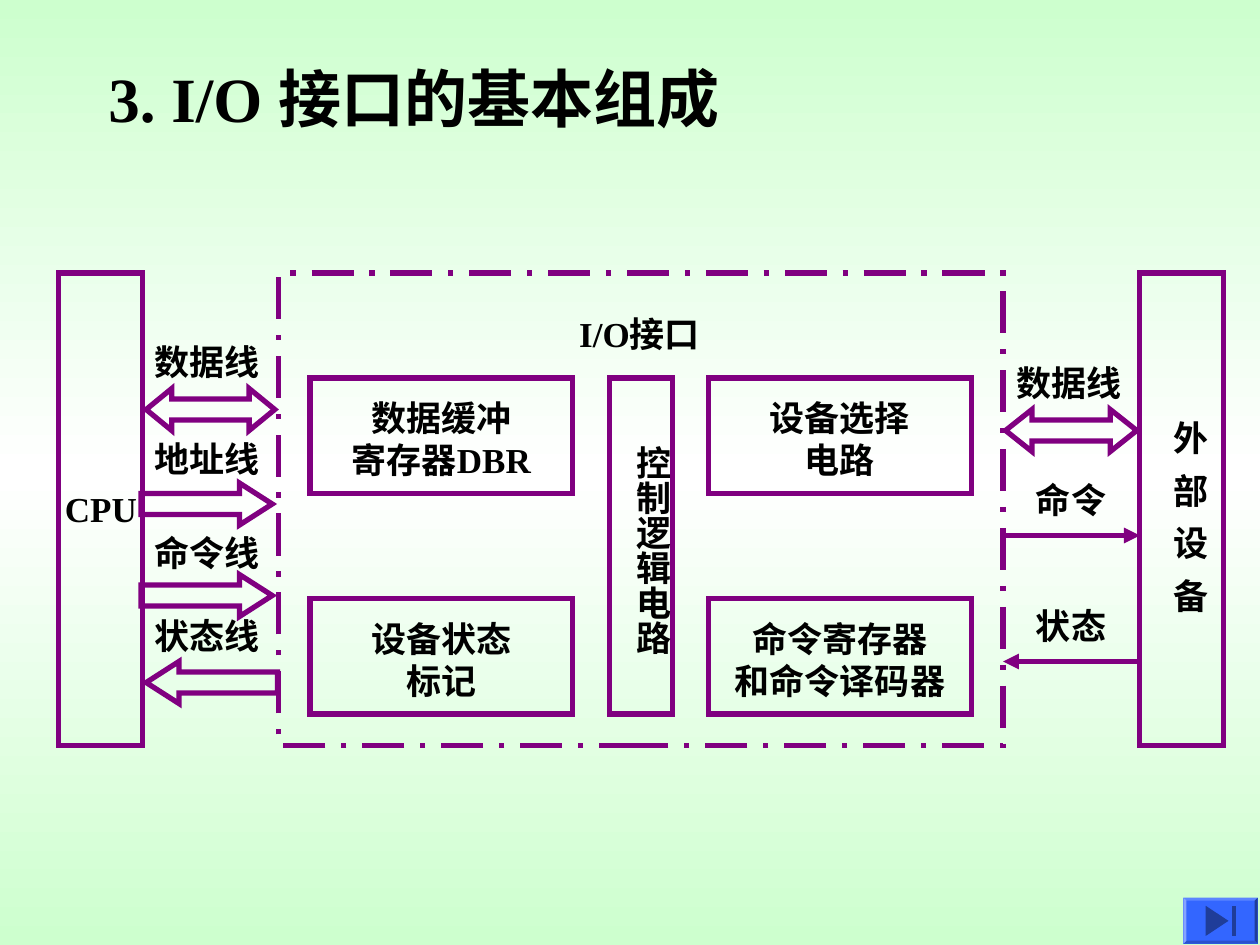
from copy import deepcopy
from dataclasses import dataclass

from lxml import etree
from pptx import Presentation
from pptx.dml.color import RGBColor
from pptx.enum.dml import MSO_LINE
from pptx.enum.shapes import MSO_CONNECTOR, MSO_SHAPE
from pptx.enum.text import MSO_ANCHOR, PP_ALIGN
from pptx.oxml.ns import qn
from pptx.util import Pt

RECT = MSO_SHAPE.RECTANGLE
BOTH_WAYS = MSO_SHAPE.LEFT_RIGHT_ARROW
RIGHTWARD = MSO_SHAPE.RIGHT_ARROW
STRAIGHT = MSO_CONNECTOR.STRAIGHT
DASH_DOT = MSO_LINE.LONG_DASH_DOT
LEFT, CENTER = PP_ALIGN.LEFT, PP_ALIGN.CENTER
TOP, MIDDLE = MSO_ANCHOR.TOP, MSO_ANCHOR.MIDDLE

FONT = "Times New Roman"
COLORS = {
    "purple": "800080", "text": "000000", "green": "CDFFCE", "white": "FFFFFF",
    "button": "3366FF", "button_top": "5C85FF", "button_left": "85A3FF",
    "button_right": "1F3D99", "button_bottom": "2952CC", "button_sign": "1F3D99",
}
FRAME_TOP, FRAME_HEIGHT = 156, 270
CPU_LEFT, INTERFACE_LEFT, DEVICE_LEFT = 33.4, 159.2, 651.3
INTERFACE_WIDTH, SIDE_WIDTH = 414, 48
INTERFACE_RIGHT = INTERFACE_LEFT + INTERFACE_WIDTH
BLOCK_LEFTS, BLOCK_TOPS = (177.2, 405), (216, 342)
BLOCK_WIDTH, BLOCK_HEIGHT = 150, 66
CONTROL_LEFT, CONTROL_WIDTH = 348.5, 36
ARROW_HEIGHT, LABEL_HEIGHT = 24, 31.7
LEFT_LABELS, RIGHT_LABELS = 118.5, 611


@dataclass(frozen=True)
class Label:
    text: str
    center: float
    top: float
    width: float = 74


@dataclass(frozen=True)
class BlockArrow:
    kind: MSO_SHAPE
    left: float
    top: float
    width: float
    head: float
    rotation: float = 0


@dataclass(frozen=True)
class Block:
    text: str
    column: int
    row: int


@dataclass(frozen=True)
class VerticalText:
    text: str
    left: float
    top: float
    height: float
    spacing: float = 0


LABELS = [
    Label("I/O接口", 365.5, 175, 88),
    Label("CPU", 57.7, 275, 55),
    Label("数据线", LEFT_LABELS, 190.8),
    Label("地址线", LEFT_LABELS, 246.2),
    Label("命令线", LEFT_LABELS, 300.2),
    Label("状态线", LEFT_LABELS, 347.8),
    Label("数据线", RIGHT_LABELS, 203),
    Label("命令", RIGHT_LABELS + 1, 270, 54),
    Label("状态", RIGHT_LABELS + 1, 342, 54),
]
BLOCK_ARROWS = [
    BlockArrow(BOTH_WAYS, 83.5, 222, 73.5, 0.61),
    BlockArrow(RIGHTWARD, 80.6, 276, 75, 0.78),
    BlockArrow(RIGHTWARD, 80.6, 328.3, 75, 0.78),
    BlockArrow(RIGHTWARD, 83.5, 378, 75, 0.78, 180),
    BlockArrow(BOTH_WAYS, 574.6, 234, 75, 0.63),
]
BLOCKS = [
    Block("数据缓冲\n寄存器DBR", 0, 0),
    Block("设备选择\n电路", 1, 0),
    Block("设备状态\n标记", 0, 1),
    Block("命令寄存器\n和命令译码器", 1, 1),
]
VERTICAL_TEXTS = [
    VerticalText("控制逻辑电路", 350.6, 247.5, 150),
    VerticalText("外部设备", 657.4, 233.3, 150, 10),
]


def color(name: str) -> RGBColor:
    return RGBColor.from_string(COLORS[name])


def write(frame, text: str, size: float = 20, align=CENTER) -> None:
    frame.text = text
    for paragraph in frame.paragraphs:
        paragraph.alignment = align
        font = paragraph.font
        font.name, font.size, font.bold = FONT, Pt(size), True
        font.color.rgb = color("text")


def outline(line, dash=None) -> None:
    """Give a purple line with sharp corners."""
    line.color.rgb = color("purple")
    line.width = Pt(3)
    if dash is not None:
        line.dash_style = dash
    etree.SubElement(line._get_or_add_ln(), qn("a:miter"), lim="800000")


def add_outlined(slide, kind, left: float, top: float, width: float, height: float, dash=None):
    shape = slide.shapes.add_shape(kind, Pt(left), Pt(top), Pt(width), Pt(height))
    shape.shadow.inherit = False
    shape.fill.background()
    outline(shape.line, dash)
    return shape


def add_label(slide, label: Label, size: float = 20, align=CENTER) -> None:
    """Add a one-line text whose box has no side margins, so that it never breaks."""
    box = slide.shapes.add_textbox(Pt(label.center - label.width / 2), Pt(label.top),
                                   Pt(label.width), Pt(LABEL_HEIGHT * size / 20))
    frame = box.text_frame
    frame.word_wrap = True
    frame.margin_left = frame.margin_right = 0
    write(frame, label.text, size, align)


def add_vertical_text(slide, column: VerticalText) -> None:
    box = slide.shapes.add_textbox(Pt(column.left), Pt(column.top), Pt(38.2), Pt(column.height))
    frame = box.text_frame
    frame.word_wrap = True
    frame.vertical_anchor = TOP
    frame.margin_left = frame.margin_right = Pt(3.6)
    frame.margin_top = frame.margin_bottom = Pt(7.2)
    frame._txBody.bodyPr.set("vert", "eaVert")
    write(frame, column.text, align=LEFT)
    if column.spacing:
        run = frame.paragraphs[0].runs[0]
        run._r.get_or_add_rPr().set("spc", str(int(column.spacing * 100)))


def add_block(slide, block: Block) -> None:
    shape = add_outlined(slide, RECT, BLOCK_LEFTS[block.column], BLOCK_TOPS[block.row],
                         BLOCK_WIDTH, BLOCK_HEIGHT)
    shape.text_frame.vertical_anchor = MIDDLE
    shape.text_frame.margin_top = Pt(6.8)
    write(shape.text_frame, block.text)


def add_block_arrow(slide, arrow: BlockArrow) -> None:
    shape = add_outlined(slide, arrow.kind, arrow.left, arrow.top, arrow.width, ARROW_HEIGHT)
    shape.adjustments[0], shape.adjustments[1] = 0.5, arrow.head
    shape.rotation = arrow.rotation


def add_signal(slide, start: float, end: float, y: float) -> None:
    connector = slide.shapes.add_connector(STRAIGHT, Pt(start), Pt(y), Pt(end), Pt(y))
    outline(connector.line)
    etree.SubElement(connector.line._get_or_add_ln(), qn("a:tailEnd"), type="triangle")
    etree.SubElement(connector._element.spPr, qn("a:effectLst"))


def add_polygon(slide, points: list[tuple[float, float]], fill: str) -> None:
    start, *rest = [(Pt(x), Pt(y)) for x, y in points]
    builder = slide.shapes.build_freeform(*start)
    builder.add_line_segments(rest, close=True)
    shape = builder.convert_to_shape()
    shape.shadow.inherit = False
    shape.fill.solid()
    shape.fill.fore_color.rgb = color(fill)
    shape.line.fill.background()


def add_end_button(slide) -> None:
    """Draw a bevelled button with a skip-to-end sign."""
    left, top, right, bottom, bevel = 676.3, 513, 718.7, 539.3, 1.7
    outer = [(left, top), (right, top), (right, bottom), (left, bottom)]
    inner = [(left + bevel, top + bevel), (right - bevel, top + bevel),
             (right - bevel, bottom - bevel), (left + bevel, bottom - bevel)]
    add_polygon(slide, outer, "button")
    for i, side in enumerate(("top", "right", "bottom", "left")):
        j = (i + 1) % 4
        add_polygon(slide, [outer[i], outer[j], inner[j], inner[i]], f"button_{side}")
    add_polygon(slide, [(702, 526.2), (689, 534.8), (689, 517.6)], "button_sign")
    add_polygon(slide, [(704.2, 517.6), (706.4, 517.6), (706.4, 534.8), (704.2, 534.8)],
                "button_sign")


def paint_background(slide) -> None:
    fill = slide.background.fill
    fill.gradient()
    fill.gradient_angle = 90
    edge, middle = fill.gradient_stops
    edge.color.rgb, edge.position = color("green"), 0
    middle.color.rgb, middle.position = color("white"), 0.5
    stops = slide._element.find(".//" + qn("a:gsLst"))
    last = deepcopy(stops[0])
    last.set("pos", "100000")
    stops.append(last)


def main() -> None:
    deck = Presentation()
    deck.slide_width, deck.slide_height = Pt(720), Pt(540)
    slide = deck.slides.add_slide(deck.slide_layouts[6])
    paint_background(slide)
    add_label(slide, Label("3. I/O 接口的基本组成", 252, 30.2, 380), 36, LEFT)
    for block in BLOCKS:
        add_block(slide, block)
    add_outlined(slide, RECT, CONTROL_LEFT, BLOCK_TOPS[0], CONTROL_WIDTH,
                 BLOCK_TOPS[1] + BLOCK_HEIGHT - BLOCK_TOPS[0])
    add_outlined(slide, RECT, INTERFACE_LEFT, FRAME_TOP, INTERFACE_WIDTH, FRAME_HEIGHT, DASH_DOT)
    for left in (CPU_LEFT, DEVICE_LEFT):
        add_outlined(slide, RECT, left, FRAME_TOP, SIDE_WIDTH, FRAME_HEIGHT)
    for arrow in BLOCK_ARROWS:
        add_block_arrow(slide, arrow)
    add_signal(slide, INTERFACE_RIGHT, DEVICE_LEFT, 306)
    add_signal(slide, DEVICE_LEFT, INTERFACE_RIGHT, 378)
    for label in LABELS:
        add_label(slide, label)
    for column in VERTICAL_TEXTS:
        add_vertical_text(slide, column)
    add_end_button(slide)
    deck.save("out.pptx")


if __name__ == "__main__":
    main()
